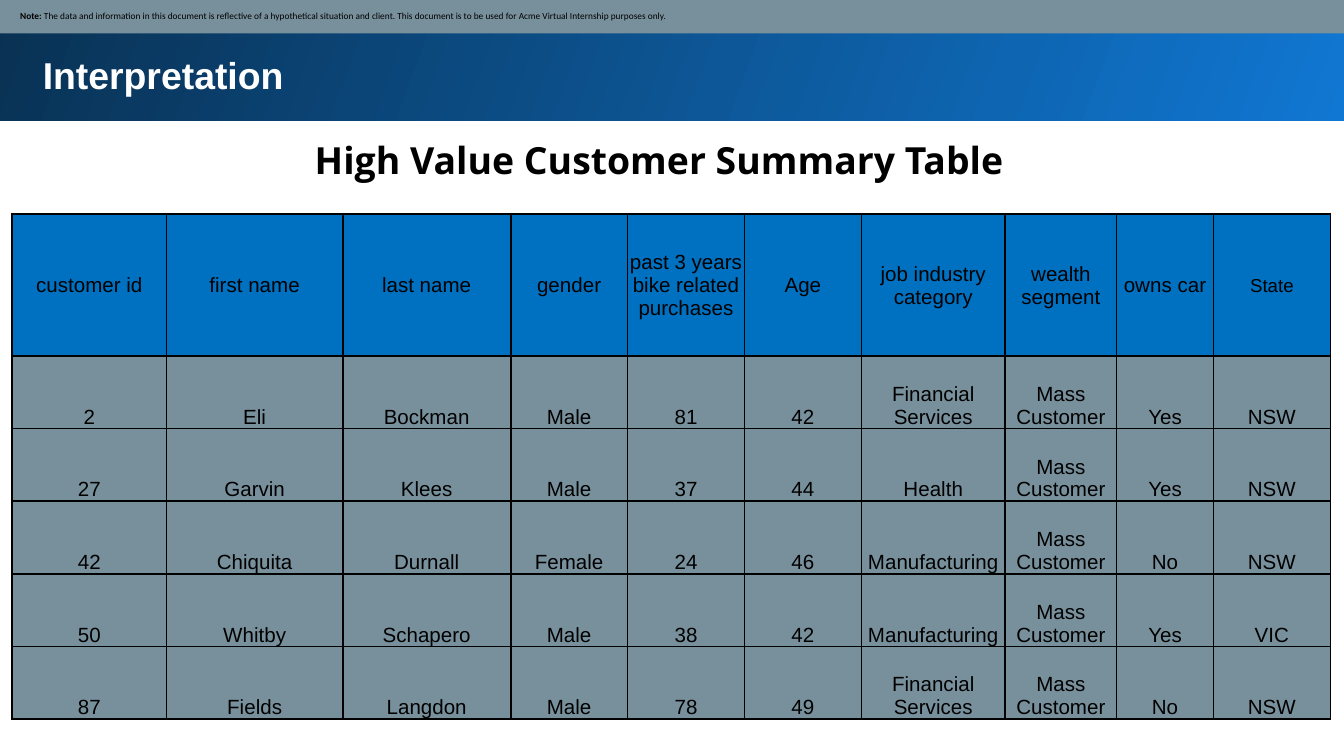
"""Build the high value customer summary slide."""
from dataclasses import dataclass

from lxml import etree
from pptx import Presentation
from pptx import util as u
from pptx.dml.color import RGBColor
from pptx.enum import shapes, text
from pptx.oxml.ns import qn

COLORS = {
    "black": "000000", "white": "FFFFFF", "header": "0070C0",
    "gray": "78909C", "bright": "1077D2", "navy": "093153",
}
SLIDE_WIDTH = 10
SLIDE_HEIGHT = SLIDE_WIDTH * 9 / 16
CENTER, LEFT = text.PP_ALIGN.CENTER, text.PP_ALIGN.LEFT
TOP, MIDDLE, BOTTOM = (
    text.MSO_ANCHOR.TOP, text.MSO_ANCHOR.MIDDLE, text.MSO_ANCHOR.BOTTOM)
NOTE = (
    "The data and information in this document is reflective of a hypothetical "
    "situation and client. This document is to be used for Acme Virtual "
    "Internship purposes only."
)
COLUMN_WIDTHS = (1.15, 1.31, 1.25, 0.87, 0.87, 0.87, 1.07, 0.83, 0.72, 0.87)
HEADER_HEIGHT, CUSTOMER_HEIGHT = 1.06, 0.54
HEADINGS = (
    "customer id", "first name", "last name", "gender",
    "past 3 years bike related purchases", "Age", "job industry category",
    "wealth segment", "owns car", "State",
)


@dataclass(frozen=True)
class Customer:
    number: int
    first: str
    last: str
    gender: str
    purchases: int
    age: int
    industry: str
    car: str
    state: str = "NSW"
    segment: str = "Mass Customer"

    def values(self) -> tuple:
        return (self.number, self.first, self.last, self.gender, self.purchases,
                self.age, self.industry, self.segment, self.car, self.state)


@dataclass(frozen=True)
class Heading:
    words: str
    top: float
    height: float
    font: str
    color: str
    align: text.PP_ALIGN
    spacing: float


CUSTOMERS = (
    Customer(2, "Eli", "Bockman", "Male", 81, 42, "Financial Services", "Yes"),
    Customer(27, "Garvin", "Klees", "Male", 37, 44, "Health", "Yes"),
    Customer(42, "Chiquita", "Durnall", "Female", 24, 46, "Manufacturing", "No"),
    Customer(50, "Whitby", "Schapero", "Male", 38, 42, "Manufacturing", "Yes", "VIC"),
    Customer(87, "Fields", "Langdon", "Male", 78, 49, "Financial Services", "No"),
)
TITLES = (
    Heading("Interpretation", 0.29, 0.83, "Arial", "white", LEFT, 1.0),
    Heading("High Value Customer Summary Table", 0.87, 0.56, "Open Sans",
            "black", CENTER, 1.15),
)


def rgb(name: str) -> RGBColor:
    return RGBColor.from_string(COLORS[name])


def set_values(target, values: dict) -> None:
    for name, value in values.items():
        setattr(target, name, value)


def margins(left: float, top: float, right: float, bottom: float) -> dict:
    sides = {"left": left, "top": top, "right": right, "bottom": bottom}
    return {f"margin_{side}": u.Inches(size) for side, size in sides.items()}


def add_run(paragraph, words: str, font: str, size: float,
            color: str = "black", bold: bool = False) -> None:
    run = paragraph.add_run()
    run.text = words
    set_values(run.font, {"name": font, "size": u.Pt(size), "bold": bold})
    run.font.color.rgb = rgb(color)


def add_band(slide, left: float, top: float, width: float, height: float):
    shape = slide.shapes.add_shape(
        shapes.MSO_SHAPE.RECTANGLE, *map(u.Inches, (left, top, width, height)))
    shape.shadow.inherit = False
    shape.line.fill.background()
    return shape


def add_title_band(slide) -> None:
    fill = add_band(slide, -0.02, -0.02, 10.05, 0.92).fill
    fill.gradient()
    fill.gradient_angle = 160
    for stop, name, position in zip(fill.gradient_stops, ("bright", "navy"), (0, 1)):
        stop.color.rgb = rgb(name)
        stop.position = position


def add_heading(slide, heading: Heading) -> None:
    box = slide.shapes.add_textbox(
        *map(u.Inches, (0.22, heading.top, 9.37, heading.height)))
    frame = box.text_frame
    set_values(frame, {"word_wrap": True, "vertical_anchor": TOP,
                       **margins(0.1, 0.1, 0.1, 0.1)})
    paragraph = frame.paragraphs[0]
    set_values(paragraph, {"alignment": heading.align, "line_spacing": heading.spacing})
    add_run(paragraph, heading.words, heading.font, 20, heading.color, True)


def add_note(slide) -> None:
    shape = add_band(slide, -0.01, -0.01, 10.03, 0.26)
    shape.fill.solid()
    shape.fill.fore_color.rgb = rgb("gray")
    frame = shape.text_frame
    set_values(frame, {"word_wrap": True, "vertical_anchor": MIDDLE,
                       **margins(0.16, 0.05, 0.05, 0.05)})
    paragraph = frame.paragraphs[0]
    paragraph.alignment = LEFT
    add_run(paragraph, "Note: ", "Calibri", 5, bold=True)
    add_run(paragraph, NOTE, "Calibri", 5)


def add_borders(cell) -> None:
    properties = cell._tc.get_or_add_tcPr()
    for index, side in enumerate(("lnL", "lnR", "lnT", "lnB")):
        line = etree.Element(qn(f"a:{side}"), w=str(u.Pt(1)))
        fill = etree.SubElement(line, qn("a:solidFill"))
        etree.SubElement(fill, qn("a:srgbClr"), val=COLORS["black"])
        properties.insert(index, line)


def fill_cell(cell, words: str, fill: str, anchor: text.MSO_ANCHOR, size: float) -> None:
    set_values(cell, {"vertical_anchor": anchor, **margins(0.01, 0.01, 0.01, 0)})
    cell.fill.solid()
    cell.fill.fore_color.rgb = rgb(fill)
    paragraph = cell.text_frame.paragraphs[0]
    paragraph.alignment = CENTER
    add_run(paragraph, words, "Arial", size)
    add_borders(cell)


def add_customer_table(slide) -> None:
    rows = (HEADINGS, *(customer.values() for customer in CUSTOMERS))
    heights = (HEADER_HEIGHT, *[CUSTOMER_HEIGHT] * len(CUSTOMERS))
    area = (0.09, 1.59, sum(COLUMN_WIDTHS), sum(heights))
    table = slide.shapes.add_table(
        len(rows), len(HEADINGS), *map(u.Inches, area)).table
    for column, width in zip(table.columns, COLUMN_WIDTHS):
        column.width = u.Inches(width)
    for row, height, values in zip(table.rows, heights, rows):
        row.height = u.Inches(height)
        fill, anchor = ("header", MIDDLE) if values is HEADINGS else ("gray", BOTTOM)
        for cell, value in zip(row.cells, values):
            fill_cell(cell, str(value), fill, anchor, 10 if value == "State" else 11)


def main() -> None:
    presentation = Presentation()
    set_values(presentation, {"slide_width": u.Inches(SLIDE_WIDTH),
                              "slide_height": u.Inches(SLIDE_HEIGHT)})
    slide = presentation.slides.add_slide(presentation.slide_layouts[6])
    add_title_band(slide)
    for heading in TITLES:
        add_heading(slide, heading)
    add_note(slide)
    add_customer_table(slide)
    presentation.save("out.pptx")


main()
